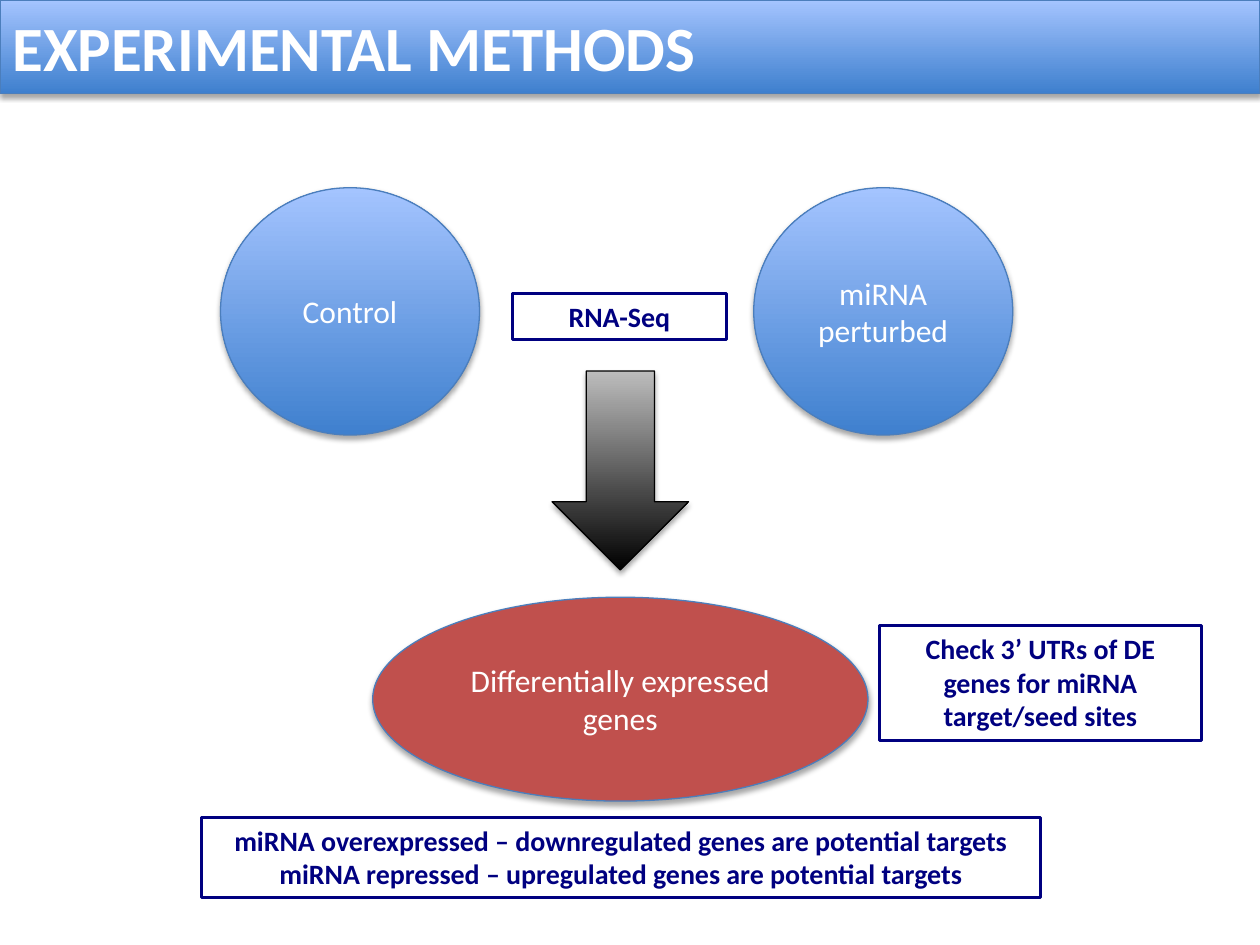
from dataclasses import dataclass
from typing import Optional

from lxml.etree import SubElement
from pptx import Presentation
from pptx.dml.color import RGBColor
from pptx.enum.shapes import MSO_SHAPE
from pptx.enum.text import MSO_ANCHOR, MSO_AUTO_SIZE, PP_ALIGN
from pptx.oxml.ns import qn
from pptx.util import Pt


@dataclass(frozen=True)
class Theme:
    font: str = "Calibri"
    blue: tuple = ("3F80CE", "A4C4FF")  # gradient, bottom to top
    black: tuple = ("000000", "BDBDBD")
    red: tuple = ("C0504D",)
    outline: str = "4B7EBC"
    dark_outline: str = "000000"
    navy: str = "000080"
    white: str = "FFFFFF"
    title_size: float = 36
    node_size: float = 18
    callout_size: float = 16
    node_line: float = 0.75
    callout_line: float = 1.75


THEME = Theme()


@dataclass(frozen=True)
class Box:
    left: float
    top: float
    width: float
    height: float

    def points(self) -> tuple:
        return Pt(self.left), Pt(self.top), Pt(self.width), Pt(self.height)


@dataclass(frozen=True)
class Node:
    box: Box
    outline: MSO_SHAPE
    colors: tuple
    text: str = ""
    line: str = THEME.outline
    size: float = THEME.node_size
    bold: Optional[bool] = None
    align: PP_ALIGN = PP_ALIGN.CENTER


@dataclass(frozen=True)
class Callout:
    box: Box
    lines: tuple


def rgb(value: str) -> RGBColor:
    return RGBColor.from_string(value)


def write(frame, lines: tuple, align: PP_ALIGN, color: str, font_format: dict) -> None:
    frame.word_wrap = True
    for index, line in enumerate(lines):
        paragraph = frame.paragraphs[0] if index == 0 else frame.add_paragraph()
        paragraph.alignment = align
        run = paragraph.add_run()
        run.text = line
        for name, value in font_format.items():
            setattr(run.font, name, value)
        run.font.color.rgb = rgb(color)


def set_line(shape, color: str, width: float) -> None:
    shape.line.color.rgb = rgb(color)
    shape.line.width = Pt(width)


def set_fill(shape, colors: tuple) -> None:
    if len(colors) == 1:
        shape.fill.solid()
        shape.fill.fore_color.rgb = rgb(colors[0])
        return
    shape.fill.gradient()
    shape.fill.gradient_angle = 90
    for stop, color in zip(shape.fill.gradient_stops, colors):
        stop.color.rgb = rgb(color)


def add_shadow(shape) -> None:
    shape.shadow.inherit = False
    effects = shape.element.spPr.find(qn("a:effectLst"))
    shadow = SubElement(effects, qn("a:outerShdw"), blurRad=str(Pt(3.1)),
                        dist=str(Pt(1.8)), dir="5400000", rotWithShape="0")
    color = SubElement(shadow, qn("a:srgbClr"), val="000000")
    SubElement(color, qn("a:alpha"), val="35000")


def draw_node(slide, node: Node) -> None:
    shape = slide.shapes.add_shape(node.outline, *node.box.points())
    set_fill(shape, node.colors)
    set_line(shape, node.line, THEME.node_line)
    add_shadow(shape)
    if node.text:
        shape.text_frame.vertical_anchor = MSO_ANCHOR.MIDDLE
        write(shape.text_frame, (node.text,), node.align, THEME.white,
              {"name": THEME.font, "size": Pt(node.size), "bold": node.bold})


def draw_callout(slide, callout: Callout) -> None:
    label = slide.shapes.add_textbox(*callout.box.points())
    set_line(label, THEME.navy, THEME.callout_line)
    write(label.text_frame, callout.lines, PP_ALIGN.CENTER, THEME.navy,
          {"name": THEME.font, "size": Pt(THEME.callout_size), "bold": True})
    label.text_frame.auto_size = MSO_AUTO_SIZE.SHAPE_TO_FIT_TEXT


NODES = (
    # Title bar
    Node(Box(0, 0, 720, 53.3), MSO_SHAPE.RECTANGLE, THEME.blue, "EXPERIMENTAL METHODS",
         size=THEME.title_size, bold=True, align=PP_ALIGN.LEFT),
    # Samples being compared
    Node(Box(126, 107.3, 148, 141.3), MSO_SHAPE.OVAL, THEME.blue, "Control"),
    Node(Box(430.7, 107.3, 148, 141.3), MSO_SHAPE.OVAL, THEME.blue, "miRNA perturbed"),
    # Step to the result
    Node(Box(315.5, 212, 78, 113.7), MSO_SHAPE.DOWN_ARROW, THEME.black,
         line=THEME.dark_outline),
    Node(Box(213, 341.3, 283, 116.5), MSO_SHAPE.OVAL, THEME.red,
         "Differentially expressed genes"),
)

CALLOUTS = (
    Callout(Box(293, 167.6, 122, 26.6), ("RNA-Seq",)),
    Callout(Box(115, 467, 479.7, 46.1),
            ("miRNA overexpressed – downregulated genes are potential targets",
             "miRNA repressed – upregulated genes are potential targets")),
    Callout(Box(502.5, 357.5, 184, 65.5),
            ("Check 3’ UTRs of DE genes for miRNA target/seed sites",)),
)


def main() -> None:
    deck = Presentation()
    deck.slide_width, deck.slide_height = Pt(720), Pt(540)
    slide = deck.slides.add_slide(deck.slide_layouts[6])
    for node in NODES:
        draw_node(slide, node)
    for callout in CALLOUTS:
        draw_callout(slide, callout)
    deck.save("out.pptx")


if __name__ == "__main__":
    main()
